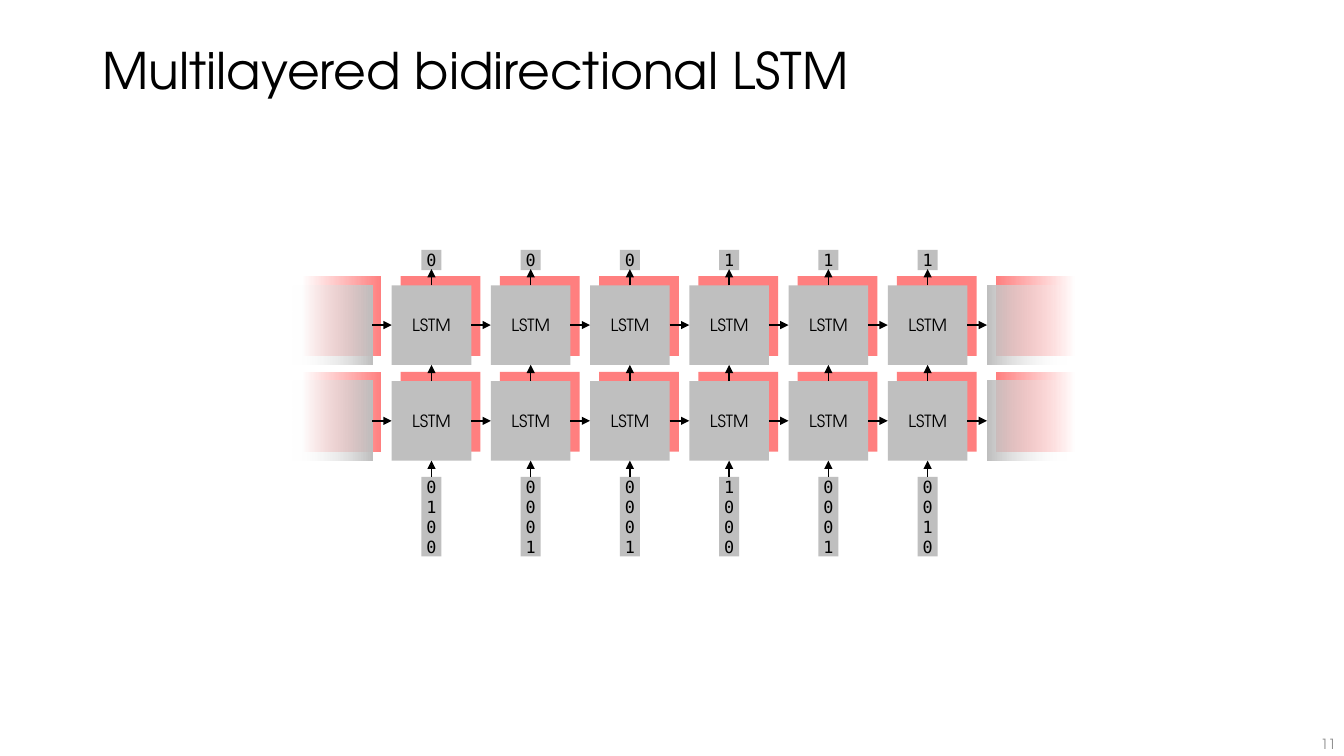
from lxml.etree import SubElement
from pptx import Presentation
from pptx.dml.color import RGBColor
from pptx.enum.shapes import MSO_CONNECTOR, MSO_SHAPE
from pptx.enum.text import MSO_ANCHOR, PP_ALIGN
from pptx.oxml.ns import qn
from pptx.util import Inches, Pt

BLACK = RGBColor(0x00, 0x00, 0x00)
WHITE = RGBColor(0xFF, 0xFF, 0xFF)
GRAY = RGBColor(0xBF, 0xBF, 0xBF)
RED = RGBColor(0xFF, 0x7F, 0x7F)
NUMBER_GRAY = RGBColor(0x8C, 0x8C, 0x8C)
SANS = "TeX Gyre Adventor"
MONO = "DejaVu Sans Mono"

INPUTS = ["0100", "0001", "0001", "1000", "0001", "0010"]
OUTPUTS = "000111"
LAYER_TOPS = [3.78, 2.83]
CELL = 0.79
BIT = 0.2
ARROW = 0.16
DEPTH = 0.09
INPUT_TOP = 4.73
OUTPUT_TOP = 2.48
FIRST_LEFT = 2.9
LAST_LEFT = 9.79
PITCH = (LAST_LEFT - FIRST_LEFT) / (len(INPUTS) + 1)
CELL_LEFTS = [FIRST_LEFT + PITCH * step for step in range(1, len(INPUTS) + 1)]


def write_text(shape, text, font=SANS, size=12, color=BLACK, align=PP_ALIGN.CENTER,
               anchor=MSO_ANCHOR.MIDDLE, margins=(0.1, 0.05), line_spacing=None):
    frame = shape.text_frame
    frame.word_wrap = True
    frame.vertical_anchor = anchor
    frame.margin_left = frame.margin_right = Inches(margins[0])
    frame.margin_top = frame.margin_bottom = Inches(margins[1])
    frame.text = text
    for paragraph in frame.paragraphs:
        paragraph.alignment = align
        paragraph.line_spacing = line_spacing
        paragraph.font.name = font
        paragraph.font.size = Pt(size)
        paragraph.font.color.rgb = color


class Diagram:
    """Draws the elements of the network on one slide in a shared style."""

    def __init__(self, slide):
        self.slide = slide
        self.line_color = BLACK
        self.line_width = Pt(1)

    def text(self, text, left, top, width, height, **style):
        box = self.slide.shapes.add_textbox(
            Inches(left), Inches(top), Inches(width), Inches(height))
        write_text(box, text, **style)

    def block(self, left, top, width, height, color):
        shape = self.slide.shapes.add_shape(
            MSO_SHAPE.RECTANGLE, Inches(left), Inches(top), Inches(width), Inches(height))
        shape.shadow.inherit = False
        shape.line.fill.background()
        shape.fill.solid()
        shape.fill.fore_color.rgb = color
        return shape

    def fade(self, left, top, colors, transparent=False):
        shape = self.block(left, top, CELL, CELL, WHITE)
        shape.fill.gradient()
        shape.fill.gradient_angle = 0
        for stop, color in zip(shape.fill.gradient_stops, colors):
            stop.color.rgb = color
        if transparent:
            for color in shape.element.spPr.iter(qn("a:srgbClr")):
                if color.get("val") == str(WHITE):
                    SubElement(color, qn("a:alpha")).set("val", "0")

    def cell(self, left, top):
        write_text(self.block(left, top, CELL, CELL, GRAY), "LSTM")

    def bits(self, digits, center, top, height):
        shape = self.block(center - BIT / 2, top, BIT, height, GRAY)
        write_text(shape, "\n".join(digits), font=MONO, margins=(0, 0))

    def arrow(self, left, top, across=0, down=0):
        connector = self.slide.shapes.add_connector(
            MSO_CONNECTOR.STRAIGHT, Inches(left), Inches(top),
            Inches(left + across), Inches(top + down))
        connector.line.color.rgb = self.line_color
        connector.line.width = self.line_width
        SubElement(connector.line._get_or_add_ln(), qn("a:tailEnd")).set("type", "triangle")
        SubElement(connector.element.spPr, qn("a:effectLst"))


presentation = Presentation()
presentation.slide_width = Inches(13.33)
presentation.slide_height = Inches(7.5)
slide = presentation.slides.add_slide(presentation.slide_layouts[6])
diagram = Diagram(slide)

diagram.text("Multilayered bidirectional LSTM", 0.92, 0, 11.5, 1.45,
             size=36, align=PP_ALIGN.LEFT, line_spacing=0.9)
diagram.text("11", 12.78, 7.1, 0.55, 0.4, size=10, color=NUMBER_GRAY,
             align=PP_ALIGN.RIGHT, anchor=MSO_ANCHOR.BOTTOM, margins=(0.08, 0.04))

for top in LAYER_TOPS:
    for left in CELL_LEFTS:
        diagram.block(left + DEPTH, top - DEPTH, CELL, CELL, RED)
    diagram.fade(FIRST_LEFT + DEPTH, top - DEPTH, (WHITE, RED))
    diagram.fade(LAST_LEFT + DEPTH, top - DEPTH, (RED, WHITE))

for top in LAYER_TOPS:
    for left in CELL_LEFTS:
        diagram.cell(left, top)
    diagram.fade(FIRST_LEFT, top, (WHITE, GRAY), transparent=True)
    diagram.fade(LAST_LEFT, top, (GRAY, WHITE), transparent=True)
    for left in [FIRST_LEFT, *CELL_LEFTS]:
        diagram.arrow(left + CELL, top + CELL / 2, across=PITCH - CELL)

for left, input_bits, output_bit in zip(CELL_LEFTS, INPUTS, OUTPUTS):
    center = left + CELL / 2
    diagram.bits(input_bits, center, INPUT_TOP, CELL)
    diagram.bits(output_bit, center, OUTPUT_TOP, BIT)
    for start in [INPUT_TOP, *LAYER_TOPS]:
        diagram.arrow(center, start, down=-ARROW)

presentation.save("out.pptx")
